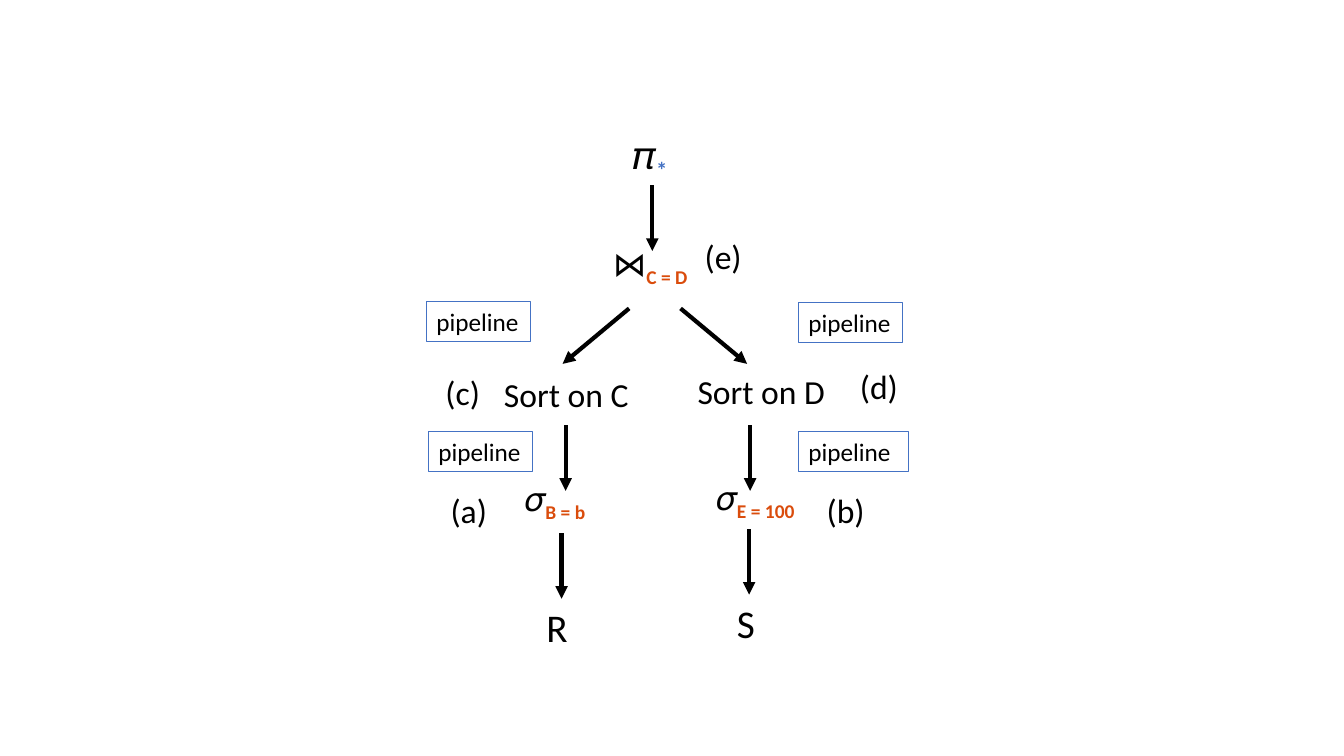
from pptx import Presentation
from pptx.dml.color import RGBColor
from pptx.enum.shapes import MSO_CONNECTOR as Link, MSO_SHAPE as Form
from pptx.enum.text import MSO_ANCHOR as Anchor, MSO_AUTO_SIZE as Fit, PP_ALIGN as Align
from pptx.oxml.ns import qn
from pptx.util import Inches, Pt
from lxml.etree import SubElement


def color(code):
    return RGBColor.from_string(code)


class Plan:
    font = "Calibri"
    ink = "000000"
    blue = "4472C4"
    rust = "DA4C0C"

    def __init__(self, slide):
        self.shapes = slide.shapes

    def letter(self, shape, text, size, wrap=True):
        frame = shape.text_frame
        frame.word_wrap = wrap
        frame.auto_size = Fit.SHAPE_TO_FIT_TEXT
        frame.vertical_anchor = Anchor.TOP
        line = frame.paragraphs[0]
        line.text = text
        line.alignment = Align.LEFT
        self.style(line.runs[0], size, self.ink)
        return line

    def style(self, run, size, tint, bold=False):
        run.font.name = self.font
        run.font.size = Pt(size)
        run.font.bold = bold
        run.font.color.rgb = color(tint)

    def label(self, text, left, top, width, height=0.5, size=24, wrap=True):
        box = self.shapes.add_textbox(Inches(left), Inches(top), Inches(width), Inches(height))
        return self.letter(box, text, size, wrap)

    def symbol(self, sign, sub, left, top, width, height=0.5, size=24, tint=rust, bold=False, wrap=False):
        line = self.label(sign, left, top, width, height, size, wrap)
        line.runs[0].font.bold = bold
        run = line.add_run()
        run.text = sub
        self.style(run, size, tint, True)
        run.font._element.set("baseline", "-25000")

    def tag(self, text, left, top, width):
        box = self.shapes.add_shape(Form.RECTANGLE, Inches(left), Inches(top), Inches(width), Inches(0.4))
        box.shadow.inherit = False
        box.fill.background()
        box.line.color.rgb = color(self.blue)
        box.line.width = Pt(0.75)
        self.letter(box, text, 18)

    def arrow(self, left, top, across=0, down=0.65):
        link = self.shapes.add_connector(
            Link.STRAIGHT, Inches(left), Inches(top), Inches(left + across), Inches(top + down))
        link.line.color.rgb = color(self.ink)
        link.line.width = Pt(3)
        props = link._element.spPr
        SubElement(props.find(qn("a:ln")), qn("a:tailEnd"), type="triangle")
        SubElement(props, qn("a:effectLst"))


def main():
    deck = Presentation()
    deck.slide_width, deck.slide_height = Inches(13.33), Inches(7.5)
    plan = Plan(deck.slides.add_slide(deck.slide_layouts[6]))

    plan.symbol("⋈", "C = D", 5.98, 2.36, 0.97, wrap=True)
    plan.symbol("𝜋", "*", 6.18, 1.24, 0.79, 0.57, 28, plan.blue, True, True)
    plan.symbol("𝜎", "B = b", 5.11, 4.69, 0.86)
    plan.symbol("𝜎", "E = 100", 7.01, 4.68, 1.06)

    for left, top in [(6.47, 1.84), (5.61, 4.22), (7.44, 4.22), (5.57, 5.29), (7.43, 5.25)]:
        plan.arrow(left, top)
    plan.arrow(6.24, 3.06, -0.66, 0.55)
    plan.arrow(6.75, 3.06, 0.66, 0.55)

    plan.label("Sort on C", 4.9, 3.66, 1.45, wrap=False)
    plan.label("Sort on D", 6.82, 3.63, 1.47, wrap=False)
    plan.label("R", 5.32, 5.94, 0.51, 0.57, 28)
    plan.label("S", 7.21, 5.9, 0.47, 0.57, 28)

    for left, top, width in [(4.23, 2.99, 1.03), (7.92, 3, 1.03), (4.25, 4.28, 1.03), (7.92, 4.28, 1.09)]:
        plan.tag("pipeline", left, top, width)

    steps = [("a", 4.37, 4.81), ("b", 8.1, 4.81), ("c", 4.32, 3.64), ("d", 8.43, 3.58), ("e", 6.89, 2.29)]
    for step, left, top in steps:
        plan.label(f"({step})", left, top, 0.58)

    deck.save("out.pptx")


if __name__ == "__main__":
    main()
